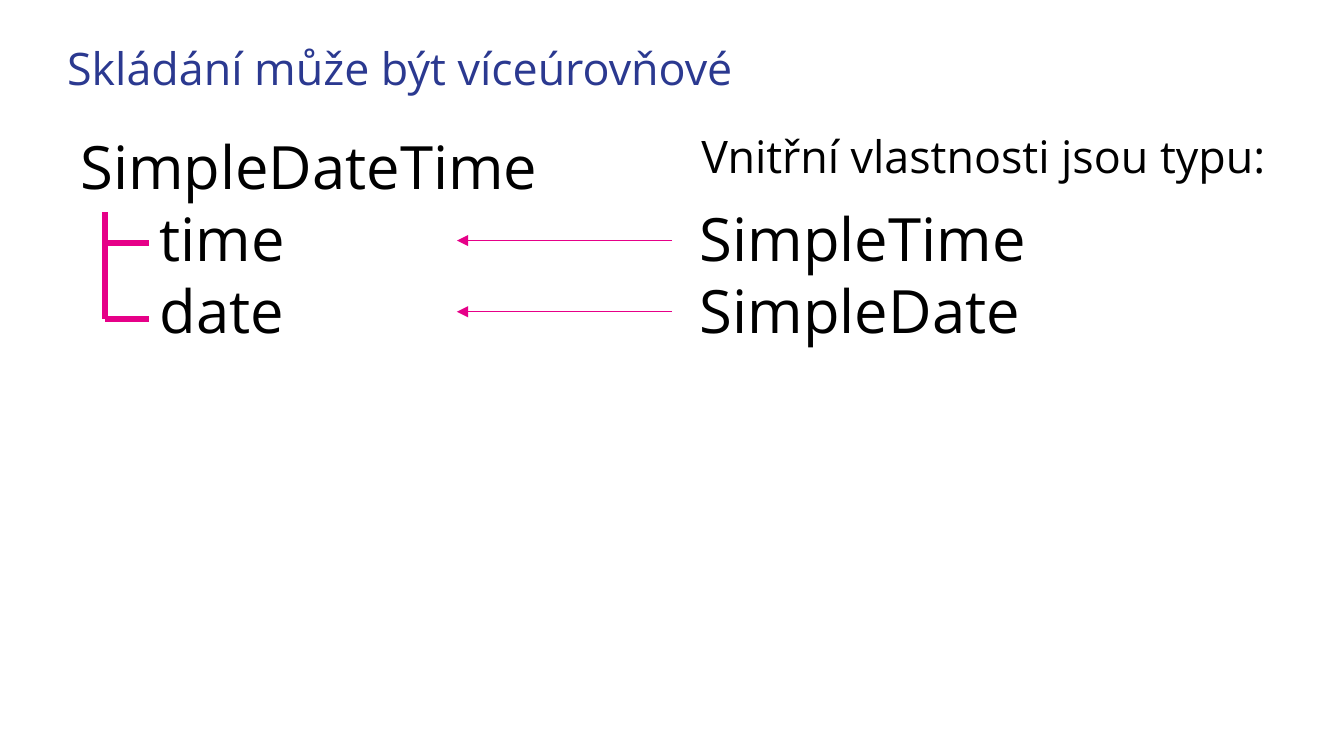
from lxml.etree import SubElement
from pptx import Presentation
from pptx.dml.color import RGBColor
from pptx.enum.shapes import MSO_CONNECTOR
from pptx.enum.text import MSO_ANCHOR
from pptx.oxml.ns import qn
from pptx.util import Inches, Pt

WIDTH = 10
HEIGHT = WIDTH * 9 / 16
FONT = "Open Sans"
BLUE, BLACK, PINK = "2B3990", "000000", "E60088"
ROW = 0.53  # height of one line of the listing
TABS = (0.59, 4.61)


def color(value):
    return RGBColor.from_string(value)


def add_text(page, box, lines, size, ink=BLACK, tabs=()):
    left, top, width, height = map(Inches, box)
    frame = page.shapes.add_textbox(left, top, width, height).text_frame
    frame.word_wrap = True
    frame.vertical_anchor = MSO_ANCHOR.TOP
    for index, line in enumerate(lines):
        para = frame.paragraphs[0] if index == 0 else frame.add_paragraph()
        para.text = line
        if tabs:
            stops = SubElement(para._p.get_or_add_pPr(), qn("a:tabLst"))
            for stop in tabs:
                SubElement(stops, qn("a:tab"), pos=str(Inches(stop)), algn="l")
        for span in para.runs:
            span.font.name = FONT
            span.font.size = Pt(size)
            span.font.color.rgb = color(ink)
    return frame


def add_line(shapes, start, end, weight, arrow=False):
    line = shapes.add_connector(MSO_CONNECTOR.STRAIGHT, *map(Inches, start + end))
    line.line.color.rgb = color(PINK)
    line.line.width = Pt(weight)
    if arrow:
        SubElement(line.line._get_or_add_ln(), qn("a:tailEnd"), type="triangle")
    SubElement(line._element.spPr, qn("a:effectLst"))


def add_title(page, box):
    frame = add_text(page, box, ["Skládání může být víceúrovňové"], 24, BLUE)
    frame.margin_left = frame.margin_top = 0
    frame.margin_right = frame.margin_bottom = Inches(0.1)
    frame.paragraphs[0].line_spacing = 1.15


def add_branches(page, left, top):
    """Trunk with one branch for each property."""
    branches = page.shapes.add_group_shape().shapes
    bottom = top + 1.5 * ROW
    add_line(branches, (left, top), (left, bottom), 3)
    for y in (top + 0.23, bottom):
        add_line(branches, (left, y), (left + 0.33, y), 3)


def add_listing(page, box):
    left, top, width, height = box
    lines = ["SimpleDateTime", "\ttime\tSimpleTime", "\tdate\tSimpleDate"]
    add_text(page, box, lines, 32, tabs=TABS)
    # Heading over the column of types
    heading_box = (left + TABS[1] + 0.01, top - 0.01, 5.19, 0.51)
    add_text(page, heading_box, ["Vnitřní vlastnosti jsou typu:"], 24)
    add_branches(page, left + 0.28, top + 0.66)
    # Arrows from each type to its property
    for row in (1, 2):
        y = top + 0.34 + row * ROW
        add_line(page.shapes, (left + 4.5, y), (left + 2.9, y), 0.75, arrow=True)


def main():
    deck = Presentation()
    deck.slide_width, deck.slide_height = Inches(WIDTH), Inches(HEIGHT)
    page = deck.slides.add_slide(deck.slide_layouts[6])
    margin = 0.05 * WIDTH
    add_title(page, (margin, 0.24, 0.9 * WIDTH, 0.51))
    add_listing(page, (margin, 0.92, 0.75 * WIDTH, 4.17))
    deck.save("out.pptx")


if __name__ == "__main__":
    main()
